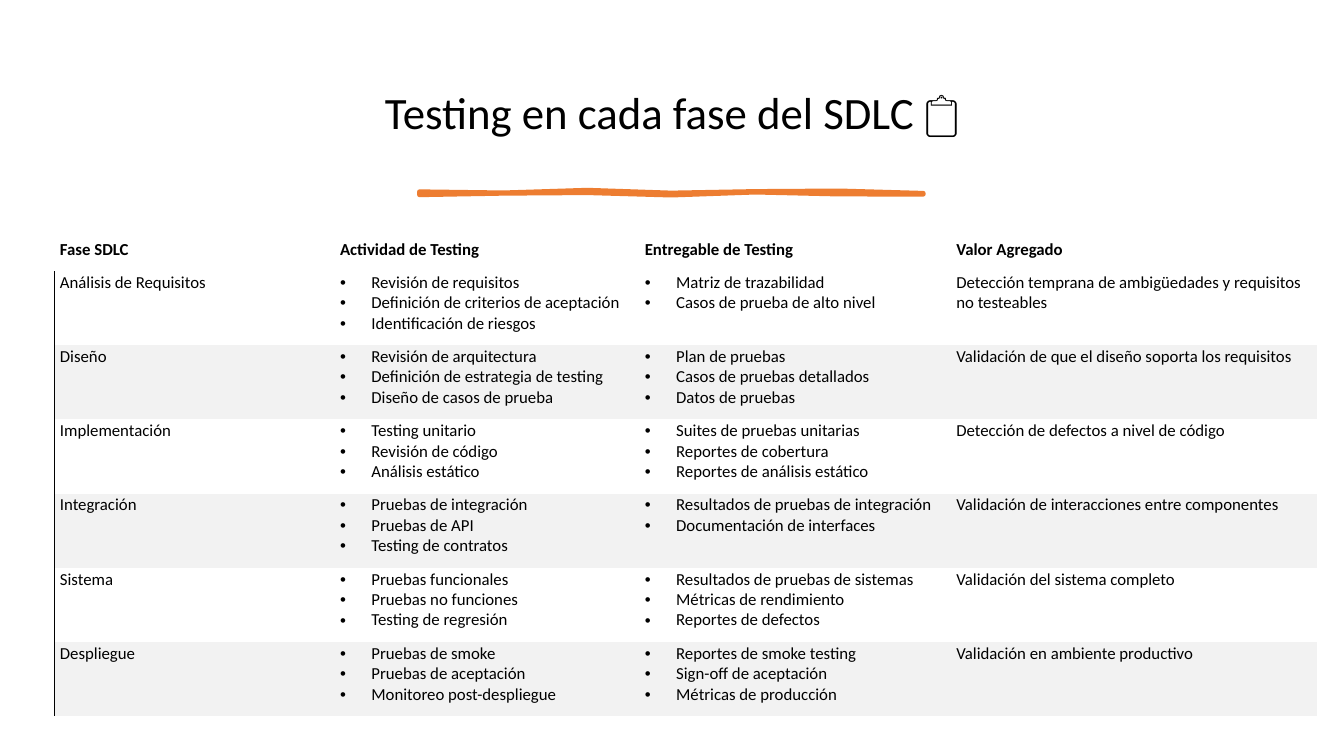
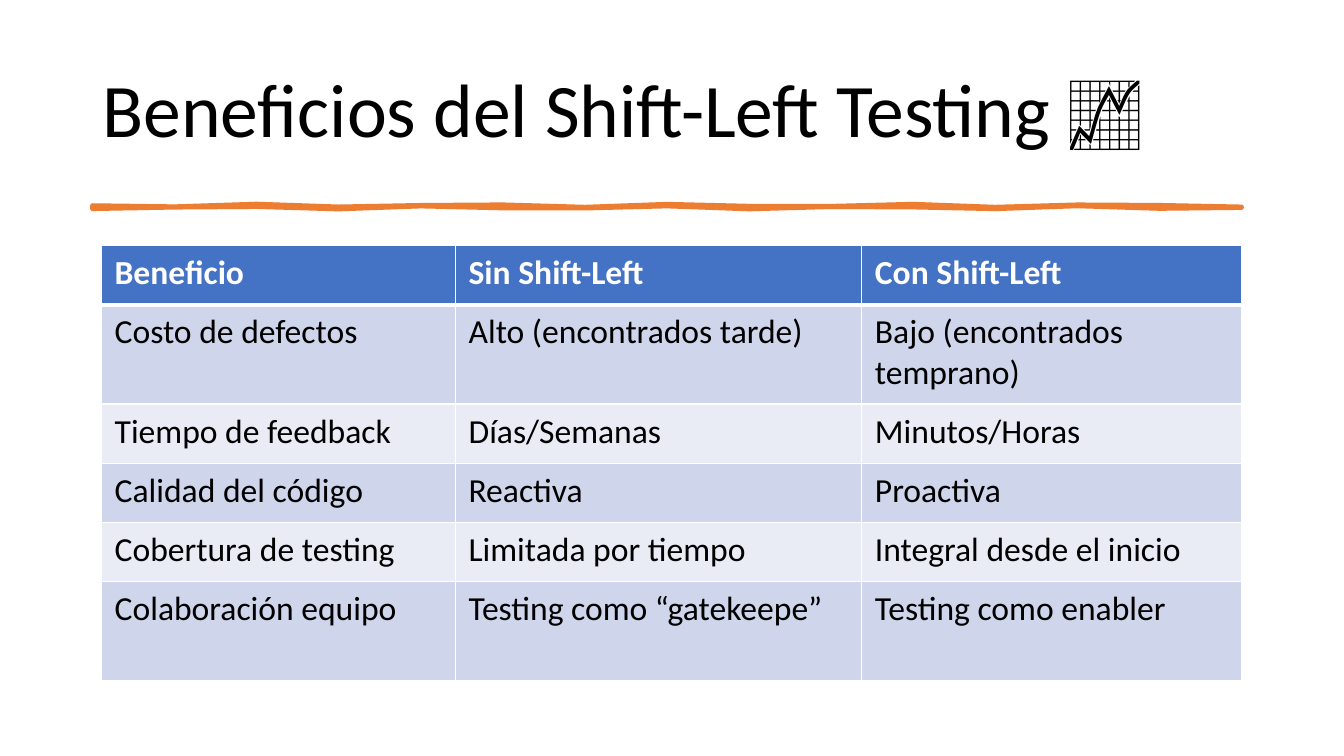
"""Build two slides on testing across the software life cycle."""
from math import sin

from lxml.etree import SubElement
from pptx import Presentation
from pptx.dml.color import RGBColor
from pptx.enum.text import MSO_ANCHOR as Anchor, MSO_AUTO_SIZE as AutoSize, PP_ALIGN as Align
from pptx.oxml.ns import qn
from pptx.util import Cm, Pt

FONT = "Calibri"
BLACK = RGBColor(0x00, 0x00, 0x00)
WHITE = RGBColor(0xFF, 0xFF, 0xFF)
ORANGE = RGBColor(0xED, 0x7D, 0x31)
BLUE = RGBColor(0x44, 0x72, 0xC4)
BLUE_BAND = RGBColor(0xCF, 0xD5, 0xEA)
PALE_BAND = RGBColor(0xE9, 0xEB, 0xF5)
GREY_BAND = RGBColor(0xF2, 0xF2, 0xF2)

TITLE_ONLY = 5
NO_STYLE = "{2D5ABB26-0587-4C30-8999-92F81FD0307C}"

PHASES = [
    ("Fase SDLC", "Actividad de Testing", "Entregable de Testing", "Valor Agregado"),
    ("Análisis de Requisitos",
     ["Revisión de requisitos", "Definición de criterios de aceptación",
      "Identificación de riesgos"],
     ["Matriz de trazabilidad", "Casos de prueba de alto nivel"],
     "Detección temprana de ambigüedades y requisitos no testeables"),
    ("Diseño",
     ["Revisión de arquitectura", "Definición de estrategia de testing",
      "Diseño de casos de prueba"],
     ["Plan de pruebas", "Casos de pruebas detallados", "Datos de pruebas"],
     "Validación de que el diseño soporta los requisitos"),
    ("Implementación",
     ["Testing unitario", "Revisión de código", "Análisis estático"],
     ["Suites de pruebas unitarias", "Reportes de cobertura",
      "Reportes de análisis estático"],
     "Detección de defectos a nivel de código"),
    ("Integración",
     ["Pruebas de integración", "Pruebas de API", "Testing de contratos"],
     ["Resultados de pruebas de integración", "Documentación de interfaces"],
     "Validación de interacciones entre componentes"),
    ("Sistema",
     ["Pruebas funcionales", "Pruebas no funciones", "Testing de regresión"],
     ["Resultados de pruebas de sistemas", "Métricas de rendimiento",
      "Reportes de defectos"],
     "Validación del sistema completo"),
    ("Despliegue",
     ["Pruebas de smoke", "Pruebas de aceptación", "Monitoreo post-despliegue"],
     ["Reportes de smoke testing", "Sign-off de aceptación", "Métricas de producción"],
     "Validación en ambiente productivo"),
]

BENEFITS = [
    ("Beneficio", "Sin Shift-Left", "Con Shift-Left"),
    ("Costo de defectos", "Alto (encontrados tarde)", "Bajo (encontrados temprano)"),
    ("Tiempo de feedback", "Días/Semanas", "Minutos/Horas"),
    ("Calidad del código", "Reactiva", "Proactiva"),
    ("Cobertura de testing", "Limitada por tiempo", "Integral desde el inicio"),
    ("Colaboración equipo", "Testing como “gatekeepe”", "Testing como enabler"),
]

PHASE_STYLE = {
    "size": 12, "header_color": BLACK, "header_fill": None, "bands": (None, GREY_BAND),
    "header_anchor": Anchor.BOTTOM, "margins": (0.13, 0.03, 0.18, 0.28),
}
BENEFIT_STYLE = {
    "size": 24, "header_color": WHITE, "header_fill": BLUE, "bands": (BLUE_BAND, PALE_BAND),
    "header_anchor": Anchor.TOP, "margins": (0.33, 0.18, 0.33, 0.18),
}


def set_attributes(target, values):
    """Set each named attribute of the target."""
    for name, value in values.items():
        setattr(target, name, value)


def add_span(para, text, size, color=BLACK, bold=False):
    """Add a formatted run to a paragraph."""
    span = para.add_run()
    span.text = text
    set_attributes(span.font, {"name": FONT, "size": Pt(size), "bold": bold})
    span.font.color.rgb = color


def add_page(deck, spans, size, place, align):
    """Add a page whose title holds the given (text, bold) spans."""
    page = deck.slides.add_slide(deck.slide_layouts[TITLE_ONLY])
    title = page.shapes.title
    set_attributes(title, dict(zip(("left", "top", "width", "height"), map(Cm, place))))
    set_attributes(title.text_frame, {
        "auto_size": AutoSize.NONE, "word_wrap": True, "vertical_anchor": Anchor.MIDDLE})
    para = title.text_frame.paragraphs[0]
    set_attributes(para, {"alignment": align, "line_spacing": 0.9})
    for text, bold in spans:
        add_span(para, text, size, bold=bold)
    return page


def add_brush_line(page, left, top, width, steps):
    """Draw a hand-brushed rule with gently uneven edges."""
    def edge(step, offset, shift):
        """Place one point on an uneven edge."""
        sway = 0.04 * sin(2.4 * step + shift)
        return Cm(left + width * step / steps), Cm(top + offset + sway)

    upper = [edge(step, 0, 0) for step in range(steps + 1)]
    lower = [edge(step, 0.05, 0.9) for step in range(steps, -1, -1)]
    builder = page.shapes.build_freeform(*upper[0])
    builder.add_line_segments(upper[1:] + lower, close=True)
    brush = builder.convert_to_shape()
    brush.shadow.inherit = False
    brush.fill.solid()
    brush.fill.fore_color.rgb = ORANGE
    brush.line.color.rgb = ORANGE
    brush.line.width = Pt(3.25)
    SubElement(brush.line._get_or_add_ln(), qn("a:round"))


def set_borders(cell, borders):
    """Give a cell its borders, listed as side: (color, points)."""
    properties = cell._tc.get_or_add_tcPr()
    for side in "LRTB":
        if side in borders:
            color, points = borders[side]
            line = SubElement(properties, qn(f"a:ln{side}"), w=str(Pt(points)))
            fill = SubElement(line, qn("a:solidFill"))
            SubElement(fill, qn("a:srgbClr"), val=str(color))


def set_bullet(para):
    """Give a paragraph a hanging round bullet."""
    indent = Cm(0.79)
    properties = para._p.get_or_add_pPr()
    properties.set("marL", str(indent))
    properties.set("indent", str(-indent))
    SubElement(properties, qn("a:buFont"), typeface="Arial")
    SubElement(properties, qn("a:buChar"), char="•")


def fill_cell(cell, content, style, header, band, borders):
    """Write a text or a bulleted list into a cell and format it."""
    set_borders(cell, borders)
    color = style["header_fill"] if header else band
    if color is None:
        cell.fill.background()
    else:
        cell.fill.solid()
        cell.fill.fore_color.rgb = color
    sides = ("margin_left", "margin_top", "margin_right", "margin_bottom")
    set_attributes(cell, dict(zip(sides, map(Cm, style["margins"]))))
    cell.vertical_anchor = style["header_anchor"] if header else Anchor.TOP
    bulleted = isinstance(content, list)
    for index, text in enumerate(content if bulleted else [content]):
        frame = cell.text_frame
        para = frame.add_paragraph() if index else frame.paragraphs[0]
        if bulleted:
            set_bullet(para)
        add_span(para, text, style["size"], style["header_color"] if header else BLACK, header)


def add_grid(page, rows, left, top, widths, heights, style, borders_for):
    """Add a table with a header row and alternating bands."""
    frame = page.shapes.add_table(len(rows), len(widths), Cm(left), Cm(top),
                                  Cm(sum(widths)), Cm(sum(heights)))
    table = frame.table
    set_attributes(table, {"first_row": False, "horz_banding": False})
    table._tbl.tblPr.find(qn("a:tableStyleId")).text = NO_STYLE
    for column, width in zip(table.columns, widths):
        column.width = Cm(width)
    for row, height in zip(table.rows, heights):
        row.height = Cm(height)
    for i, row in enumerate(rows):
        band = style["bands"][(i - 1) % 2]
        for j, content in enumerate(row):
            fill_cell(table.cell(i, j), content, style, i == 0, band, borders_for(i, j))


def phase_borders(row, column):
    """Rule the left edge of the body rows."""
    return {"L": (BLACK, 0.75)} if row and not column else {}


def benefit_borders(row, column):
    """Rule every cell in white, with a thicker line under the header."""
    borders = dict.fromkeys("LRTB", (WHITE, 1))
    if row < 2:
        borders["T" if row else "B"] = (WHITE, 3)
    return borders


def add_phases(deck):
    """Add the page on testing in each phase."""
    page = add_page(deck, [("Testing en cada fase del SDLC ", False), ("📋", True)],
                    32, (1.78, 1.15, 30.3, 3.48), Align.CENTER)
    add_brush_line(page, 10.57, 4.83, 12.7, 6)
    add_grid(page, PHASES, 1.38, 5.94, (7.06, 7.68, 7.85, 9.22),
             [0.89] + [1.87] * 6, PHASE_STYLE, phase_borders)


def add_benefits(deck):
    """Add the page on the benefits of testing early."""
    page = add_page(deck, [("Beneficios del Shift-Left Testing 📈", False)],
                    54, (2.33, 1.02, 29.2, 3.68), Align.LEFT)
    add_brush_line(page, 2.33, 5.18, 28.96, 14)
    add_grid(page, BENEFITS, 2.56, 6.19, (8.92, 10.24, 9.58),
             (1.49, 2.5, 1.49, 1.49, 1.49, 2.5), BENEFIT_STYLE, benefit_borders)


def main():
    """Build and save the deck."""
    deck = Presentation()
    set_attributes(deck, {"slide_width": Cm(33.87), "slide_height": Cm(19.05)})
    add_phases(deck)
    add_benefits(deck)
    deck.save("out.pptx")


if __name__ == "__main__":
    main()
